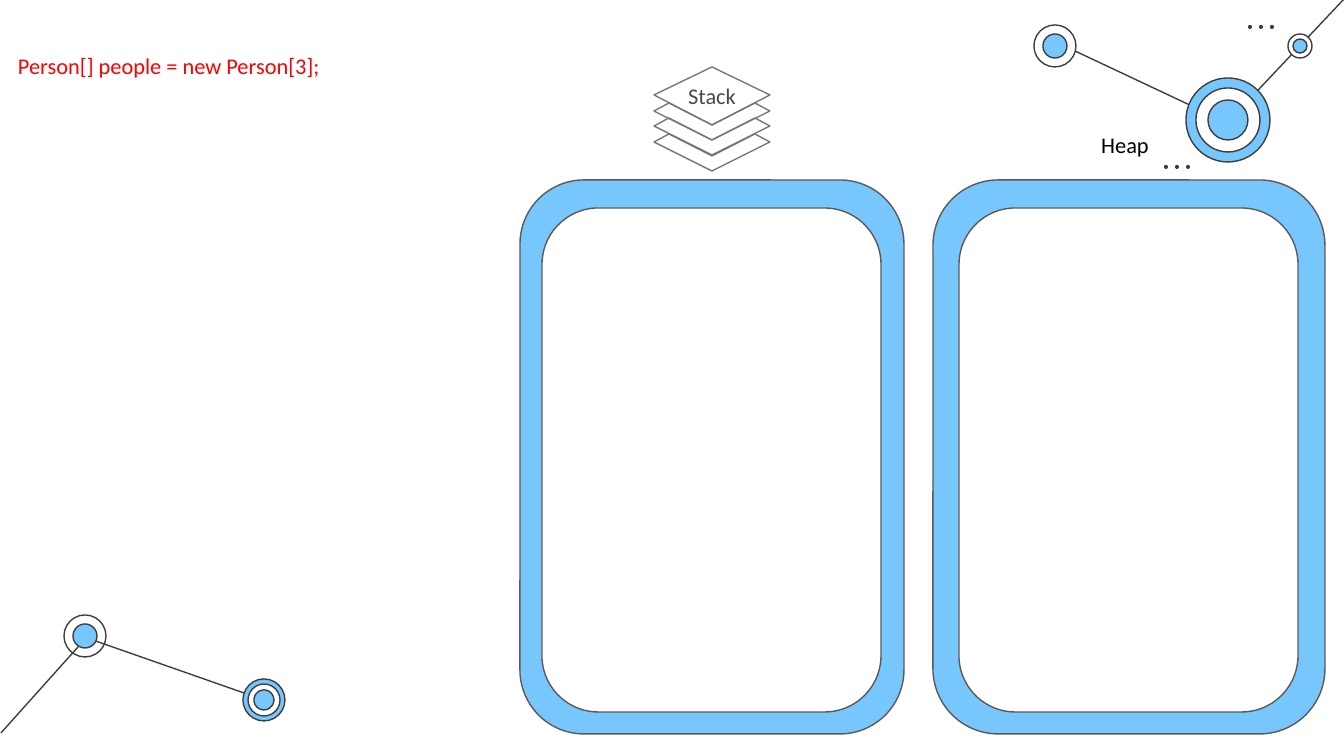
from lxml.etree import SubElement
from pptx import Presentation
from pptx.dml.color import RGBColor
from pptx.enum.shapes import MSO_CONNECTOR as Connector, MSO_SHAPE as Shape
from pptx.enum.text import MSO_ANCHOR as Anchor, PP_ALIGN as Align
from pptx.oxml.ns import qn
from pptx.util import Pt

SCALE = 914400 / 134.4
COLORS = {
    "blue": "77C6FC",
    "white": "FFFFFF",
    "ink": "3D3D3D",
    "frame": "595959",
    "layer": "777777",
    "stack": "494949",
    "heap": "000000",
    "code": "FF0000",
}


def px(value):
    return round(value * SCALE)


def rgb(name):
    return RGBColor.from_string(COLORS[name])


def paint(shape, fill, line):
    shape.shadow.inherit = False
    if fill:
        shape.fill.solid()
        shape.fill.fore_color.rgb = rgb(fill)
    else:
        shape.fill.background()
    if line:
        shape.line.color.rgb = rgb(line)
        shape.line.width = Pt(0.75)
    else:
        shape.line.fill.background()


def add_block(page, kind, left, top, width, height, fill, line=None):
    block = page.shapes.add_shape(kind, px(left), px(top), px(width), px(height))
    paint(block, fill, line)


def add_link(page, x1, y1, x2, y2):
    link = page.shapes.add_connector(Connector.STRAIGHT, px(x1), px(y1), px(x2), px(y2))
    link.line.color.rgb = rgb("ink")
    link.line.width = Pt(0.75)
    SubElement(link._element.spPr, qn("a:effectLst"))


def add_node(page, x, y, rings):
    for radius, fill in rings:
        add_block(page, Shape.OVAL, x - radius, y - radius, 2 * radius, 2 * radius, fill, "ink")


def add_dots(page, left, top):
    for column in range(3):
        add_block(page, Shape.OVAL, left + 11 * column, top, 4, 4, "ink")


def add_outline(page, points):
    builder = page.shapes.build_freeform(*points[0], scale=SCALE)
    builder.add_line_segments(points[1:], close=True)
    outline = builder.convert_to_shape()
    paint(outline, None, "layer")
    return outline


def add_frame(page, outer, inner):
    for (left, top, width, height), fill in ((outer, "blue"), (inner, "white")):
        add_block(page, Shape.ROUNDED_RECTANGLE, left, top, width, height, fill, "frame")


def write(box, text, color, align, anchor, inset=13):
    frame = box.text_frame
    frame.word_wrap = True
    frame.vertical_anchor = anchor
    frame.margin_left = px(inset)
    frame.margin_right = frame.margin_top = frame.margin_bottom = px(13)
    para = frame.paragraphs[0]
    para.text = text
    para.alignment = align
    para.font.size = Pt(12)
    para.font.name = "Calibri"
    para.font.color.rgb = rgb(color)


def add_label(page, left, top, width, height, *style):
    box = page.shapes.add_textbox(px(left), px(top), px(width), px(height))
    write(box, *style)


def add_stack(page, left, middle, right):
    for top in (134, 118, 103):
        add_outline(page, [
            (left + 15, top), (left, top + 8), (middle, top + 37),
            (right, top + 8), (right - 15, top), (middle, top + 22),
        ])
    diamond = add_outline(page, [(middle, 67), (left, 95), (middle, 125), (right, 95)])
    write(diamond, "Stack", "stack", Align.CENTER, Anchor.MIDDLE)


def main():
    deck = Presentation()
    deck.slide_width, deck.slide_height = px(1344), px(756)
    page = deck.slides.add_slide(deck.slide_layouts[6])

    add_link(page, 87, 638, 264, 700)
    add_link(page, 1, 733, 87, 637)
    add_node(page, 85, 636, [(21, None), (12, "blue")])
    add_node(page, 264, 700, [(21, "blue"), (16, "white"), (10, "blue")])
    add_link(page, 1228, 123, 1058, 43)
    add_link(page, 1344, -1, 1228, 122)
    add_node(page, 1228, 120, [(42, "blue"), (32, "white"), (20, "blue")])
    add_node(page, 1055, 46, [(21, "white"), (12, "blue")])
    add_node(page, 1300, 46, [(12, "white"), (7, "blue")])
    add_dots(page, 1248, 25)
    add_dots(page, 1164, 165)

    add_frame(page, (933, 180, 392, 554), (959, 208, 339, 504))
    add_frame(page, (520, 180, 384, 554), (542, 208, 339, 504))
    add_label(page, 972, 124, 306, 42, "Heap", "heap", Align.CENTER, Anchor.MIDDLE)
    add_stack(page, 654, 712, 770)
    add_label(page, 0, 39, 384, 55, "Person[] people = new Person[3];",
              "code", Align.LEFT, Anchor.TOP, 18)
    deck.save("out.pptx")


if __name__ == "__main__":
    main()
